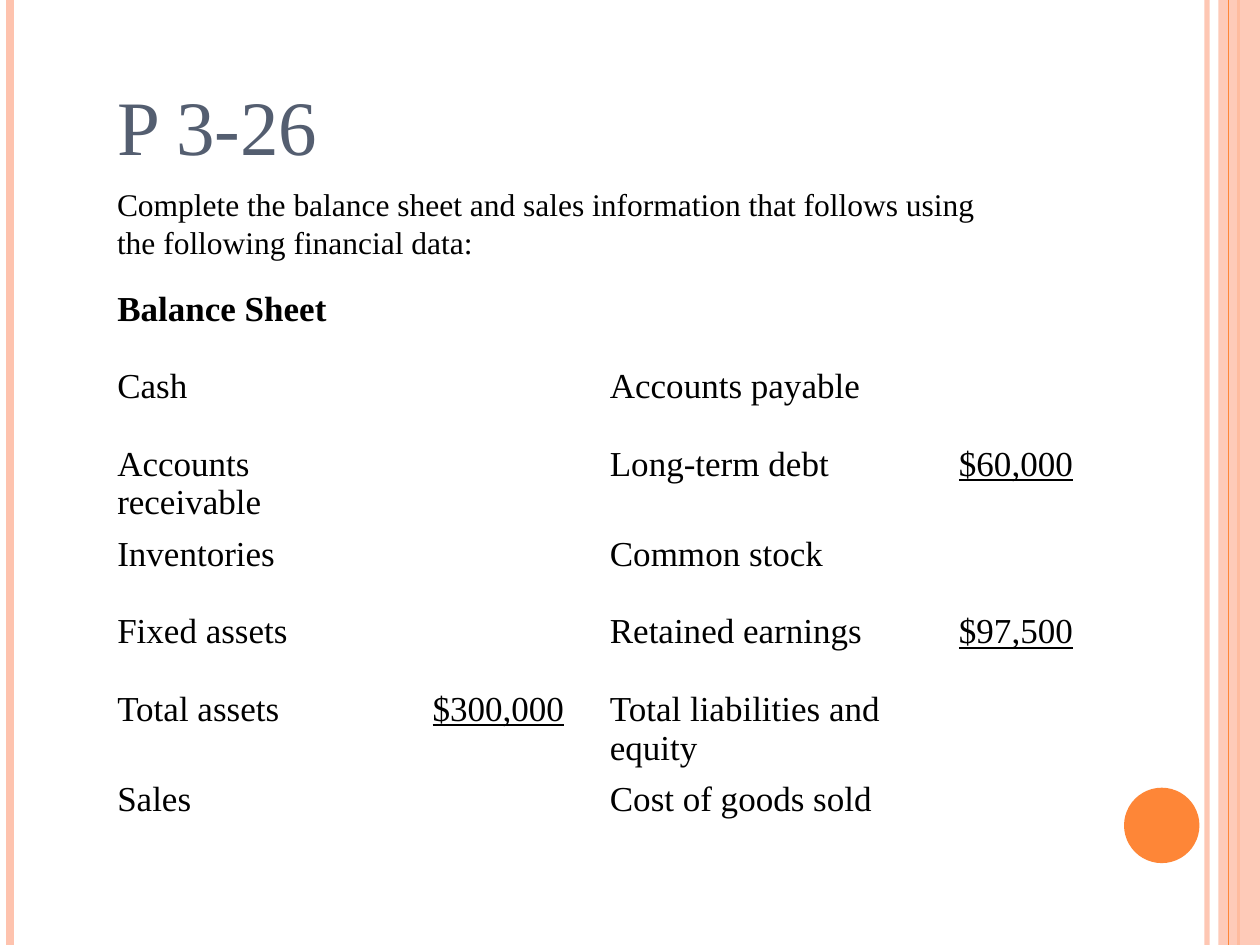
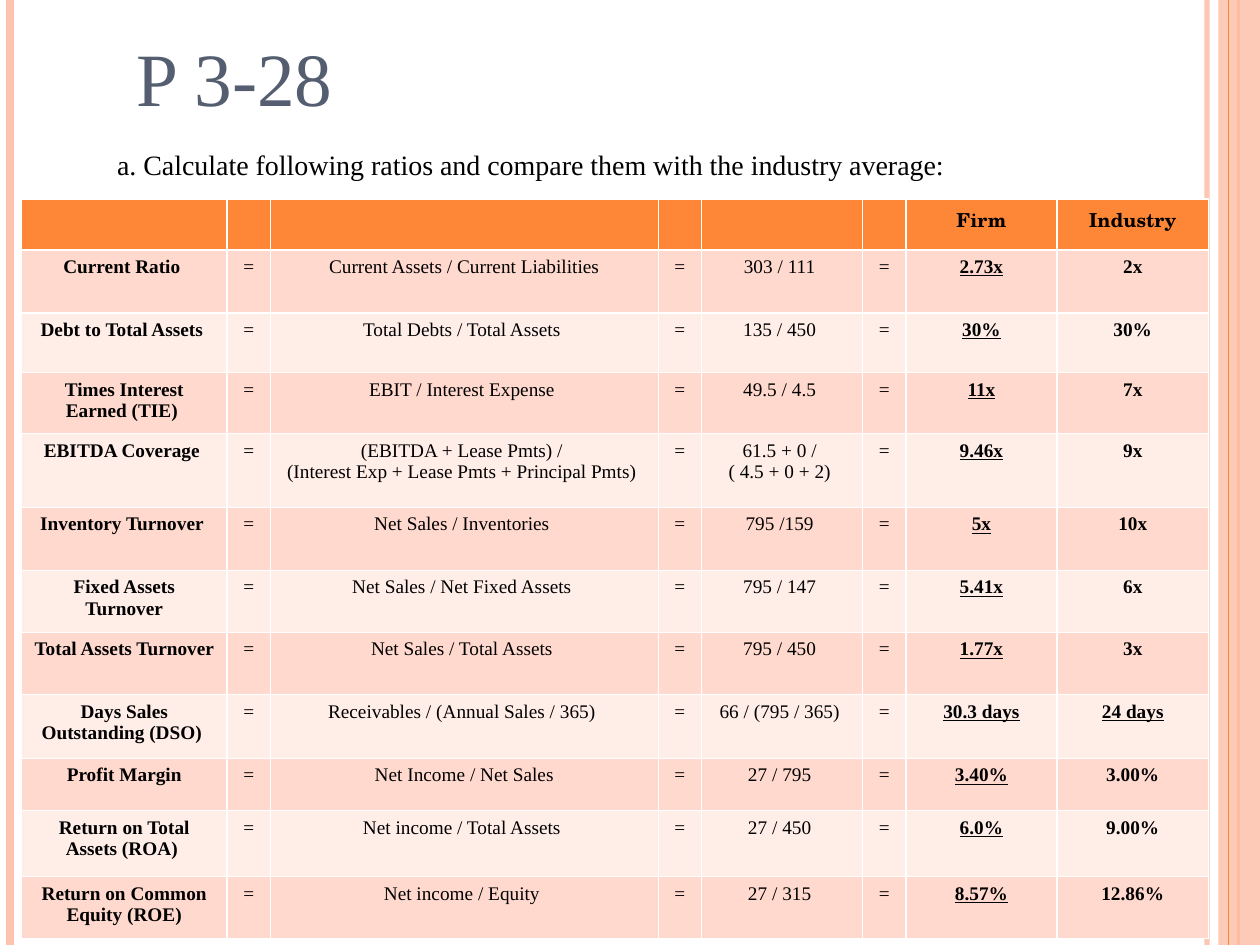
from lxml import etree
from pptx import Presentation
from pptx.dml.color import RGBColor
from pptx.enum.shapes import MSO_CONNECTOR as CONN, MSO_SHAPE as SHAPE
from pptx.enum.text import MSO_ANCHOR as ANCHOR, PP_ALIGN as ALIGN
from pptx.oxml.ns import qn
from pptx.util import Cm, Pt

COLORS = {"peach": "FEC3AE", "orange": "FE8637", "slate": "545E70", "black": "000000",
          "band": "FFD9CE", "light": "FFEDE8"}
SERIF = "Times New Roman"
SCHOOL = "TeX Gyre Schola"
W, H = 25.4, 19.05

BALANCE_ROWS = [
    ("Balance Sheet", "", "", ""),
    ("Cash", "", "Accounts payable", ""),
    ("Accounts receivable", "", "Long-term debt", "$60,000"),
    ("Inventories", "", "Common stock", ""),
    ("Fixed assets", "", "Retained earnings", "$97,500"),
    ("Total assets", "$300,000", "Total liabilities and equity", ""),
    ("Sales", "", "Cost of goods sold", ""),
]
RATIOS = [
    ("Current Ratio ", "Current Assets / Current Liabilities", "303 / 111 ", "2.73x", "2x"),
    ("Debt to Total Assets ", "Total Debts / Total Assets ", "135 / 450 ", "30%", "30%"),
    ("Times Interest Earned (TIE) ", "EBIT / Interest Expense ", "49.5 / 4.5 ", "11x", "7x"),
    ("EBITDA Coverage ",
     "(EBITDA + Lease Pmts) / \n(Interest Exp + Lease Pmts + Principal Pmts) ",
     "61.5 + 0 / \n( 4.5 + 0 + 2) ", "9.46x", "9x"),
    ("Inventory Turnover ", "Net Sales / Inventories ", "795 /159 ", "5x", "10x"),
    ("Fixed Assets Turnover", "Net Sales / Net Fixed Assets ", "795 / 147 ", "5.41x", "6x"),
    ("Total Assets Turnover ", "Net Sales / Total Assets ", "795 / 450 ", "1.77x", "3x"),
    ("Days Sales Outstanding (DSO) ", "Receivables / (Annual Sales / 365) ",
     "66 / (795 / 365) ", "30.3 days", "24 days"),
    ("Profit Margin", "Net Income / Net Sales", "27 / 795 ", "3.40%", "3.00%"),
    ("Return on Total Assets (ROA) ", "Net income / Total Assets ", "27 / 450 ", "6.0%", "9.00%"),
    ("Return on Common Equity (ROE)", "Net income / Equity ", "27 / 315 ", "8.57%", "12.86%"),
]


def rgb(name):
    return RGBColor.from_string(COLORS[name])


def set_alpha(fill_parent, percent):
    color = fill_parent.find(".//" + qn("a:srgbClr"))
    etree.SubElement(color, qn("a:alpha")).set("val", str(percent * 1000))


class Deck:
    def __init__(self):
        self.prs = Presentation()
        self.prs.slide_width, self.prs.slide_height = Cm(W), Cm(H)
        self.s = None

    def slide(self):
        self.s = self.prs.slides.add_slide(self.prs.slide_layouts[6])
        self.rule(24.33, "peach", 3, 93)
        self.rule(0.2, "peach", 4.5)
        self.rule(24.97, "orange", 1.5)
        self.shape(SHAPE.RECTANGLE, 24.56, 0, 0.84, H, "peach", 87)
        self.rule(24.77, "orange", 0.75)
        self.shape(SHAPE.OVAL, 22.66, 15.88, 1.52, 1.52, "orange")

    def rule(self, x, color, width, alpha=None):
        line = self.s.shapes.add_connector(CONN.STRAIGHT, Cm(x), 0, Cm(x), Cm(H))
        line.line.color.rgb = rgb(color)
        line.line.width = Pt(width)
        sp_pr = line._element.spPr
        if alpha:
            set_alpha(sp_pr, alpha)
        etree.SubElement(sp_pr, qn("a:effectLst"))

    def shape(self, kind, x, y, w, h, color, alpha=None):
        sp = self.s.shapes.add_shape(kind, Cm(x), Cm(y), Cm(w), Cm(h))
        sp.shadow.inherit = False
        sp.fill.solid()
        sp.fill.fore_color.rgb = rgb(color)
        sp.line.fill.background()
        if alpha:
            set_alpha(sp._element.spPr, alpha)

    def style(self, p, size, color="black", font=SERIF, bold=False, underline=False):
        p.font.size, p.font.name = Pt(size), font
        p.font.bold, p.font.underline = bold, underline
        p.font.color.rgb = rgb(color)

    def text(self, text, x, y, w, h, size, color="black", anchor=ANCHOR.TOP):
        tf = self.s.shapes.add_textbox(Cm(x), Cm(y), Cm(w), Cm(h)).text_frame
        tf.word_wrap = True
        tf.vertical_anchor = anchor
        p = tf.paragraphs[0]
        p.text = text
        self.style(p, size, color)

    def title(self, text, x, y, size):
        self.text(text, x, y, 20.83, 2.21, size, "slate", ANCHOR.MIDDLE)

    def table(self, x, y, cols, rows, header):
        frame = self.s.shapes.add_table(len(rows), len(cols), Cm(x), Cm(y),
                                        Cm(sum(cols)), Cm(sum(rows)))
        table = frame.table
        table.first_row, table.horz_banding = header, False
        for col, w in zip(table.columns, cols):
            col.width = Cm(w)
        for row, h in zip(table.rows, rows):
            row.height = Cm(h)
        return table

    def cell(self, cell, text, size, fill=None, align=ALIGN.CENTER, **font):
        if fill:
            cell.fill.solid()
            cell.fill.fore_color.rgb = rgb(fill)
        else:
            cell.fill.background()
        cell.text = text
        for p in cell.text_frame.paragraphs:
            p.alignment = align
            self.style(p, size, **font)


def balance_sheet(deck):
    deck.slide()
    heights = [1.56, 1.56, 1.82, 1.56, 1.56, 1.82, 1.56]
    table = deck.table(2.11, 5.72, [5.94, 3.99, 6.93, 3.02], heights, False)
    for i, row in enumerate(BALANCE_ROWS):
        for j, text in enumerate(row):
            amount = j % 2 == 1
            deck.cell(table.cell(i, j), text, 20, bold=i == 0, underline=amount,
                      align=ALIGN.CENTER if amount else ALIGN.LEFT)
    deck.title("P 3-26", 2.11, 1.4, 44)
    deck.text("Complete the balance sheet and sales information that follows using "
              "the following financial data:", 2.11, 3.61, 18.42, 1.8, 18)


def ratio_comparison(deck):
    deck.slide()
    deck.text("a. Calculate following ratios and compare them with the industry average:",
              2.11, 2.84, 20.75, 1, 16)
    deck.title("P 3-28", 2.51, 0.43, 43)
    cols = [4.15, 0.87, 7.82, 0.87, 3.25, 0.87, 3.05, 3.05]
    heights = [1.03, 1.27, 1.2, 1.23, 1.49, 1.27, 1.25, 1.25, 1.29, 1.05, 1.33, 1.25]
    table = deck.table(0.43, 4.01, cols, heights, True)
    for j, text in enumerate([""] * 6 + ["Firm", "Industry"]):
        deck.cell(table.cell(0, j), text, 11, "orange", font=SCHOOL, bold=True)
    for i, (ratio, formula, values, firm, industry) in enumerate(RATIOS, 1):
        row = [ratio, "=", formula, "=", values, "=", firm, industry]
        for j, text in enumerate(row):
            deck.cell(table.cell(i, j), text, 11, "band" if i % 2 else "light",
                      bold=j in (0, 6, 7), underline=j == 6 or text == "24 days")


def main():
    deck = Deck()
    balance_sheet(deck)
    ratio_comparison(deck)
    deck.prs.save("out.pptx")


if __name__ == "__main__":
    main()
